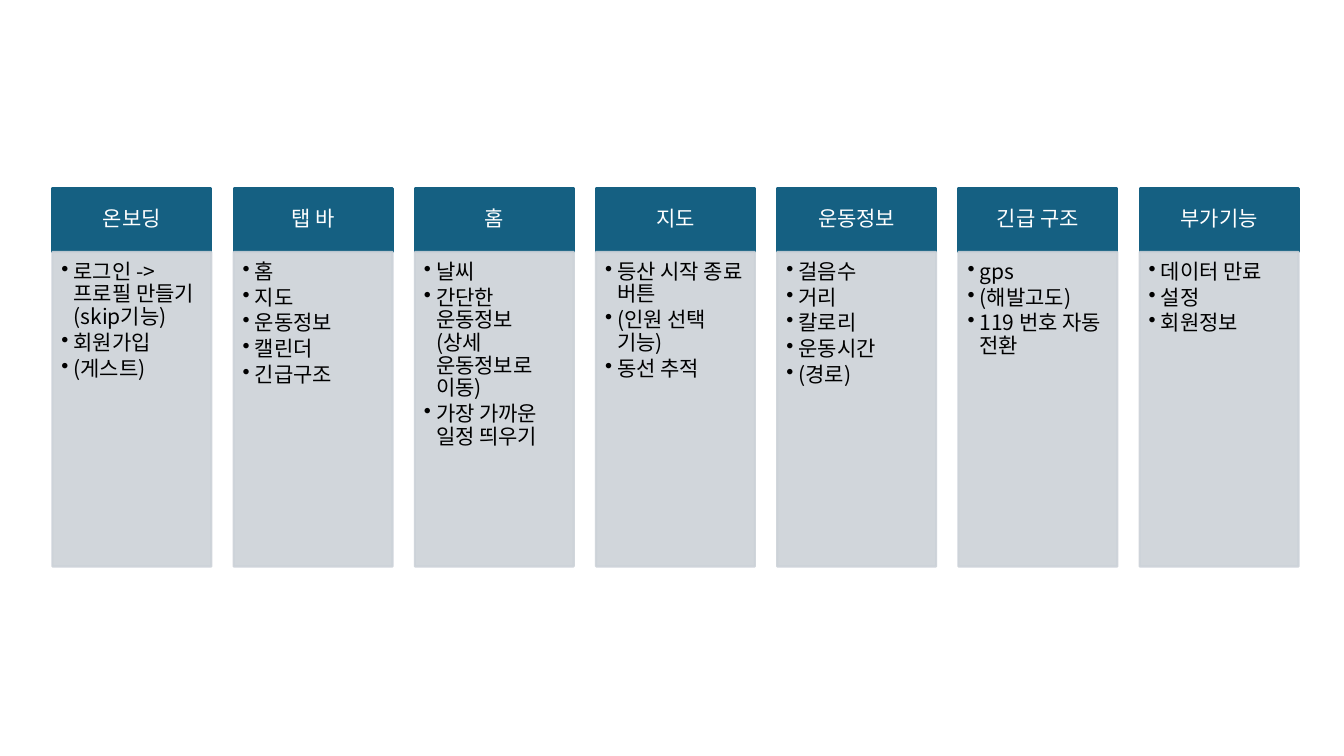
from lxml import etree
from pptx import Presentation
from pptx import util as u
from pptx.dml.color import RGBColor
from pptx.enum import shapes, text
from pptx.oxml.ns import qn

COLORS = {"header": "156082", "panel": "CCD2D8", "white": "FFFFFF", "black": "000000"}
FONT = "Noto Sans CJK KR"

FEATURES = {
    "온보딩": ["로그인 -> 프로필 만들기 (skip기능)", "회원가입", "(게스트)"],
    "탭 바": ["홈", "지도", "운동정보", "캘린더", "긴급구조"],
    "홈": ["날씨", "간단한 운동정보 (상세 운동정보로 이동)", "가장 가까운 일정 띄우기"],
    "지도": ["등산 시작 종료 버튼", "(인원 선택 기능)", "동선 추적"],
    "운동정보": ["걸음수", "거리", "칼로리", "운동시간", "(경로)"],
    "긴급 구조": ["gps", "(해발고도)", "119 번호 자동 전환"],
    "부가기능": ["데이터 만료", "설정", "회원정보"],
}

# Column grid in inches; the gap is a share of the column width
LEFT, TOTAL_WIDTH, GAP_SHARE = 0.52, 12.36, 0.14
COLUMN = TOTAL_WIDTH / (len(FEATURES) + GAP_SHARE * (len(FEATURES) - 1))
PITCH = COLUMN * (1 + GAP_SHARE)
HEADER_TOP, HEADER_HEIGHT, PANEL_HEIGHT = 1.87, 0.63, 3.12


def add_text(paragraph, content, *, color, size=15, align=None, after=0, bullet=False):
    paragraph.alignment = align
    paragraph.line_spacing = 0.9
    paragraph.space_after = u.Pt(after)
    run = paragraph.add_run()
    run.text = content
    run.font.size = u.Pt(size)
    run.font.name = FONT
    run.font.color.rgb = RGBColor.from_string(COLORS[color])
    # East Asian typeface
    etree.SubElement(run.font._element, qn("a:ea"), typeface=FONT)
    if bullet:
        paragraph.level = 1
        properties = paragraph._p.get_or_add_pPr()
        indent = u.Inches(0.12)
        properties.set("marL", str(indent))
        properties.set("indent", str(-indent))
        etree.SubElement(properties, qn("a:buChar"), char="•")


class FeatureBoard:
    def __init__(self, slide):
        self.slide = slide

    def box(self, column, top, height, color, margins, anchor, opacity=100):
        shape = self.slide.shapes.add_shape(
            shapes.MSO_SHAPE.RECTANGLE, u.Inches(LEFT + column * PITCH),
            u.Inches(top), u.Inches(COLUMN), u.Inches(height))
        shape.shadow.inherit = False
        shape.fill.solid()
        shape.line.width = u.Pt(1.5)
        for fill in (shape.fill, shape.line.fill):
            fill.solid()
            fill.fore_color.rgb = RGBColor.from_string(COLORS[color])
        if opacity < 100:
            for tint in shape._element.spPr.iter(qn("a:srgbClr")):
                etree.SubElement(tint, qn("a:alpha"), val=str(opacity * 1000))
        frame = shape.text_frame
        frame.word_wrap = True
        frame.vertical_anchor = anchor
        (frame.margin_left, frame.margin_top,
         frame.margin_right, frame.margin_bottom) = map(u.Inches, margins)
        return frame

    def header(self, column, title):
        frame = self.box(column, HEADER_TOP, HEADER_HEIGHT, "header",
                         (0.12, 0.07, 0.12, 0.07), text.MSO_ANCHOR.MIDDLE)
        add_text(frame.paragraphs[0], title, color="white", align=text.PP_ALIGN.CENTER)

    def panel(self, column, items):
        frame = self.box(column, HEADER_TOP + HEADER_HEIGHT, PANEL_HEIGHT, "panel",
                         (0.09, 0.09, 0.12, 0.13), text.MSO_ANCHOR.TOP, opacity=90)
        for index, item in enumerate(items):
            paragraph = frame.add_paragraph() if index else frame.paragraphs[0]
            add_text(paragraph, item, color="black", align=text.PP_ALIGN.LEFT,
                     after=2.25, bullet=True)


def main():
    presentation = Presentation()
    presentation.slide_width = u.Inches(13.33)
    presentation.slide_height = u.Inches(7.5)
    slide = presentation.slides.add_slide(presentation.slide_layouts[6])

    # One header and one bulleted panel per feature
    board = FeatureBoard(slide)
    for column, (title, items) in enumerate(FEATURES.items()):
        board.header(column, title)
        board.panel(column, items)

    presentation.save("out.pptx")


if __name__ == "__main__":
    main()
